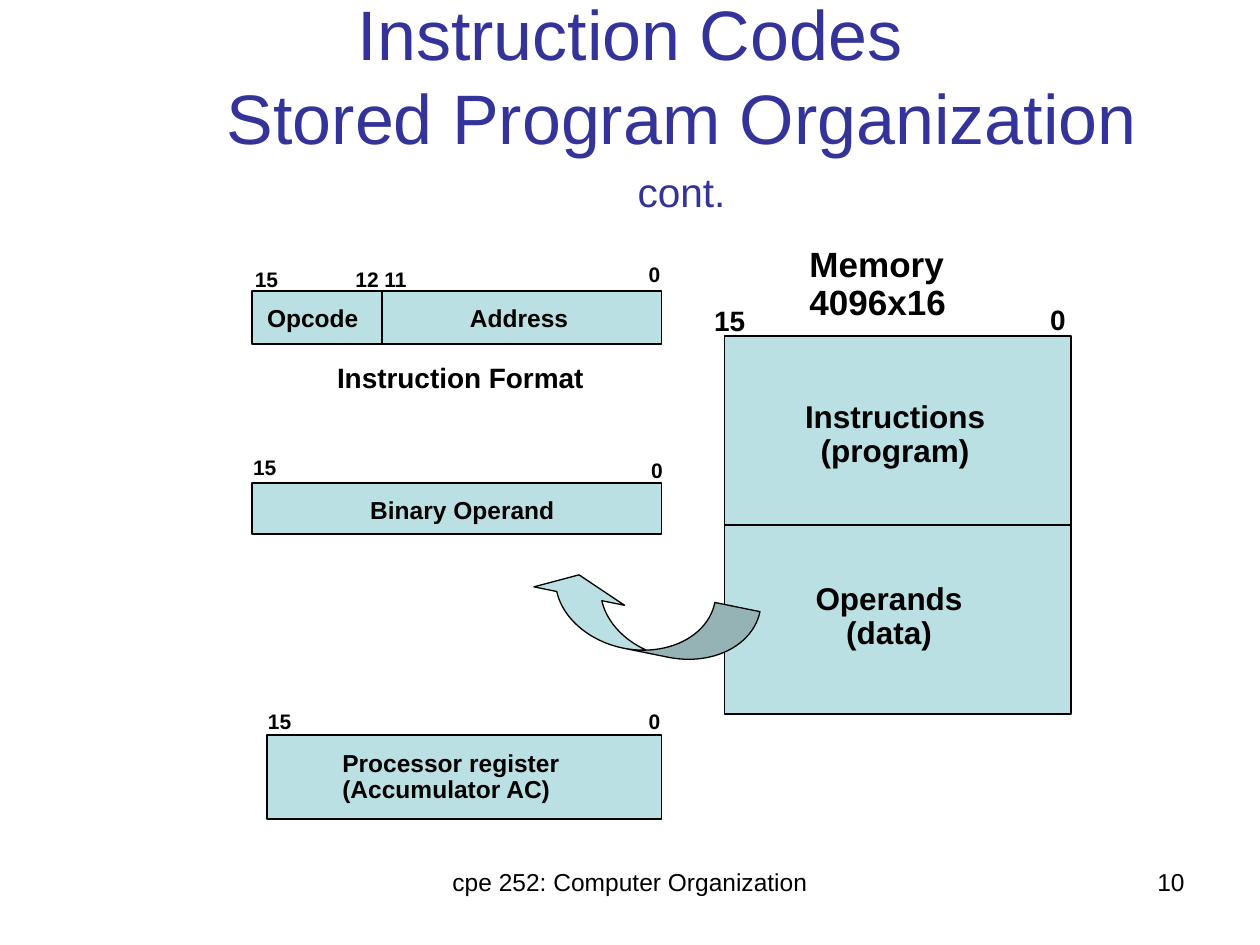
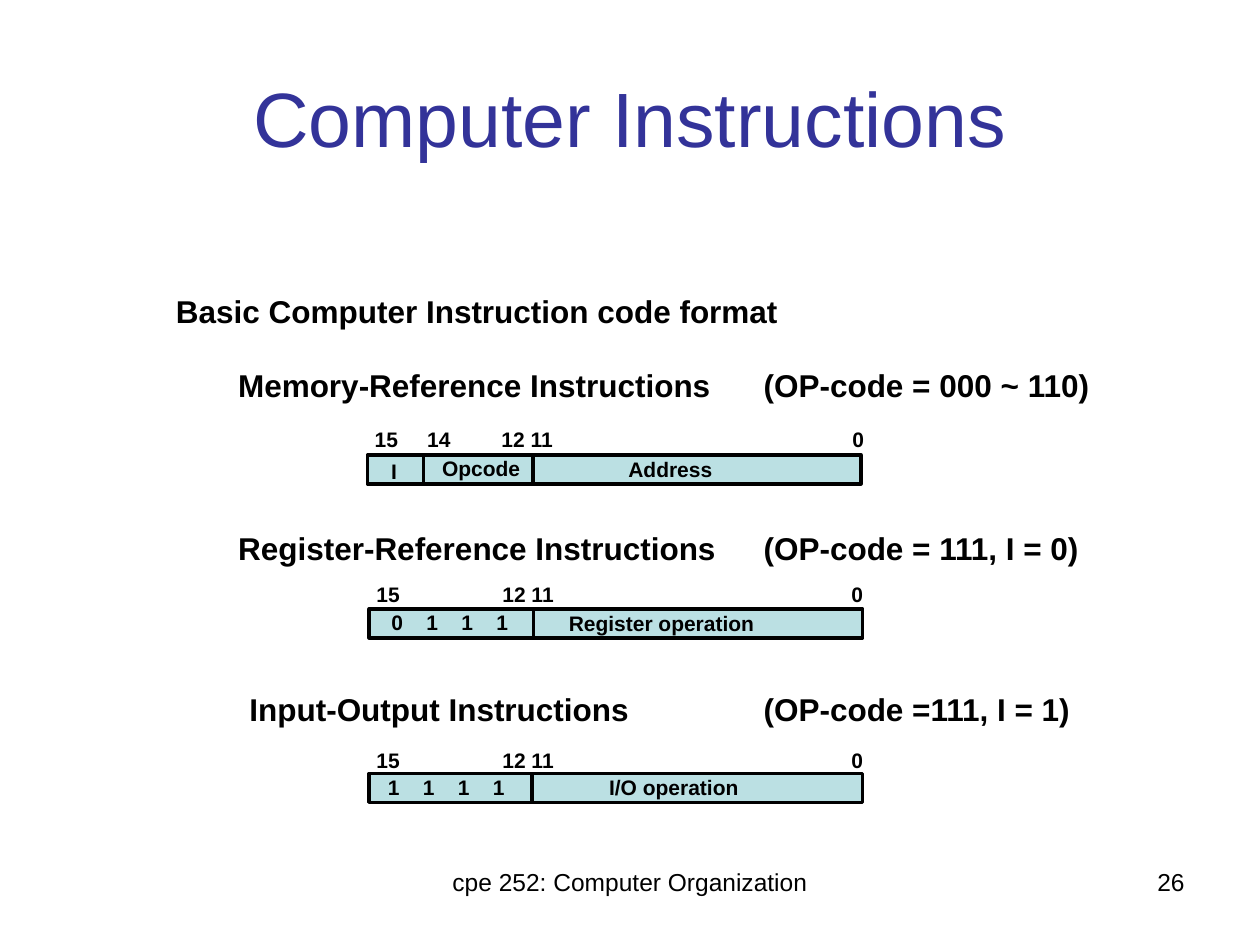
from typing import NamedTuple

from lxml.etree import SubElement
from pptx import Presentation
from pptx.dml.color import RGBColor
from pptx.enum.shapes import MSO_CONNECTOR, MSO_SHAPE
from pptx.enum.text import MSO_ANCHOR, PP_ALIGN
from pptx.oxml.ns import qn
from pptx.util import Pt

FONT = "Arial"
COLORS = {"title": "333399", "ink": "000000", "fill": "BBE0E3"}
COURSE = "cpe 252: Computer Organization"
CODE_X = 436.5  # left edge of the OP-code column
INSET = 7.2


class Label(NamedTuple):
    text: str
    x: float
    y: float
    w: float = 32
    size: float = 12
    align: PP_ALIGN = PP_ALIGN.LEFT
    bold: bool = True
    gap: float = 0.9


class Box(NamedTuple):
    x: float
    y: float
    w: float
    h: float
    line: float = 1
    cuts: tuple[float, ...] = ()


class Format(NamedTuple):
    """One instruction format: heading, bit numbers, word and field texts."""
    kind: str
    code: str
    x: float
    y: float
    bits_y: float
    box: Box
    marks: tuple[tuple[str, float], ...]
    fields: tuple[Label, ...]


def color(name: str) -> RGBColor:
    return RGBColor.from_string(COLORS[name])


def set_font(para, size: float, ink: str = "ink", bold: bool = False) -> None:
    font = para.font
    font.name, font.size, font.bold = FONT, Pt(size), bold
    font.color.rgb = color(ink)


def add_tab(para, pos: float) -> None:
    tabs = SubElement(para._p.get_or_add_pPr(), qn("a:tabLst"))
    SubElement(tabs, qn("a:tab"), pos=str(Pt(pos)), algn="l")


def add_label(slide, item: Label) -> None:
    height = item.size * 1.1 + 7.2
    shape = slide.shapes.add_textbox(Pt(item.x), Pt(item.y), Pt(item.w), Pt(height))
    frame = shape.text_frame
    frame.word_wrap = True
    para = frame.paragraphs[0]
    para.alignment, para.line_spacing = item.align, item.gap
    if "\t" in item.text:
        add_tab(para, CODE_X - item.x - INSET)
    para.add_run().text = item.text
    set_font(para, item.size, bold=item.bold)


def paint(shape, line: float) -> None:
    shape.shadow.inherit = False
    shape.fill.solid()
    shape.fill.fore_color.rgb = color("fill")
    shape.line.color.rgb = color("ink")
    shape.line.width = Pt(line)


def add_line(slide, x1: float, y1: float, x2: float, y2: float, width: float):
    line = slide.shapes.add_connector(
        MSO_CONNECTOR.STRAIGHT, Pt(x1), Pt(y1), Pt(x2), Pt(y2))
    line.line.color.rgb = color("ink")
    line.line.width = Pt(width)
    SubElement(line._element.spPr, qn("a:effectLst"))
    return line


def add_box(slide, box: Box):
    shape = slide.shapes.add_shape(
        MSO_SHAPE.RECTANGLE, Pt(box.x), Pt(box.y), Pt(box.w), Pt(box.h))
    paint(shape, box.line)
    for cut in box.cuts:
        add_line(slide, cut, box.y, cut, box.y + box.h, box.line)
    return shape


def add_title(slide, lines: list[str], size: float, tail: str = "") -> None:
    """Title with a hanging indent; the tail is raised."""
    shape = slide.shapes.add_textbox(Pt(36), Pt(21.6), Pt(648), Pt(90))
    frame = shape.text_frame
    frame.word_wrap = True
    frame.vertical_anchor = MSO_ANCHOR.MIDDLE
    para = frame.paragraphs[0]
    para.alignment = PP_ALIGN.CENTER
    props = para._p.get_or_add_pPr()
    props.set("marL", str(Pt(59)))
    props.set("indent", str(Pt(-59)))
    for i, text in enumerate(lines):
        if i:
            para.add_line_break()
        para.add_run().text = text
    if tail:
        run = para.add_run()
        run.text = tail
        run._r.get_or_add_rPr().set("baseline", "30000")
    set_font(para, size, "title")


def new_slide(deck, number: int):
    slide = deck.slides.add_slide(deck.slide_layouts[6])
    add_label(slide, Label(COURSE, 246, 492, 228, 14, PP_ALIGN.CENTER, False, 1))
    add_label(slide, Label(str(number), 516, 492, 168, 14, PP_ALIGN.RIGHT, False, 1))
    return slide


WORDS = (
    Box(152.5, 420, 225.5, 48),
    Box(144, 276, 234, 29),
    Box(144, 166.5, 234, 30, cuts=(218.5,)),
)
MEMORY = Box(414, 192, 198, 216)
NOTES = (
    Label("Opcode", 145.5, 171.5, 84, 14),
    Label("Address", 261.5, 171.5, 77, 14),
    Label("Instruction Format", 185.5, 204.5, 192, 16),
    Label("Binary Operand", 204.5, 281, 174, 14),
    Label("Processor register (Accumulator AC)", 188.5, 425.5, 145, 14),
    Label("Operands (data)", 456, 330, 104, 18, PP_ALIGN.CENTER),
    Label("Instructions (program)", 448.5, 226, 126, 18, PP_ALIGN.CENTER),
    Label("Memory 4096x16", 455.5, 138, 108, 20),
    Label("15", 401, 172, 38, 16),
    Label("0", 593, 171.5, 30, 16),
    Label("15", 138.5, 150.5),
    Label("12", 196, 150.5),
    Label("11", 212.5, 150.5),
    Label("0", 363.5, 147.5),
    Label("15", 137.5, 258),
    Label("0", 365, 259.5),
    Label("15", 146, 403),
    Label("0", 363.5, 403),
)


def draw_stored(deck) -> None:
    slide = new_slide(deck, 10)
    for word in WORDS:
        add_box(slide, word)
    memory = add_box(slide, MEMORY)
    middle = MEMORY.y + MEMORY.h / 2
    split = add_line(slide, MEMORY.x, middle, MEMORY.x + MEMORY.w, middle, 0.75)
    split.begin_connect(memory, 1)
    split.end_connect(memory, 3)
    add_title(slide, ["Instruction Codes", "Stored Program Organization "], 40, "cont.")

    arrow = slide.shapes.add_shape(
        MSO_SHAPE.CURVED_LEFT_ARROW, Pt(348), Pt(288), Pt(36), Pt(132))
    arrow.rotation = 101.5
    for i, value in enumerate((0.73, 1.47, 0.33)):
        arrow.adjustments[i] = value
    paint(arrow, 0.75)
    for note in NOTES:
        add_label(slide, note)


def digits(text: str, x: float, y: float) -> tuple[Label, ...]:
    """Single bits set 20 points apart."""
    return tuple(Label(bit, x + 20 * i, y, 24) for i, bit in enumerate(text))


WORD_BITS = (("15", 208), ("12 11", 280), ("0", 479.5))
FORMATS = (
    Format("Memory-Reference Instructions ", "(OP-code = 000 ~ 110)",
           129, 208, 242, Box(210, 260, 282, 16.5, 2, (242, 304.5)),
           (("15", 207), ("14", 237), ("12 11", 279.5), ("0", 480)),
           (Label("I", 216.5, 260, 20), Label("Opcode", 245.5, 258.5, 62),
            Label("Address", 352, 259, 66))),
    Format("Register-Reference Instructions ", "(OP-code = 111, I = 0)",
           129, 301, 330.5, Box(211, 348, 282, 16.5, 2, (305,)), WORD_BITS,
           digits("0111", 216.5, 346.5)
           + (Label("Register operation", 318, 347, 124),)),
    Format("Input-Output Instructions", "(OP-code =111, I = 1)",
           135.5, 393, 425, Box(211, 442, 282, 16.5, 2, (304,)), WORD_BITS,
           digits("1111", 214.5, 440.5)
           + (Label("I/O operation", 341, 440.5, 94),)),
)


def draw_formats(deck) -> None:
    slide = new_slide(deck, 26)
    add_title(slide, ["Computer Instructions"], 44)
    add_label(slide, Label("Basic Computer Instruction code format",
                           93.5, 163, 380, 18, gap=1.02))
    for item in FORMATS:
        add_label(slide, Label(f"{item.kind}\t{item.code}", item.x, item.y, 520, 18))
        add_box(slide, item.box)
        for text, x in item.marks:
            add_label(slide, Label(text, x, item.bits_y, 28 + 5 * len(text)))
        for field in item.fields:
            add_label(slide, field)


def main() -> None:
    deck = Presentation()
    deck.slide_width, deck.slide_height = Pt(720), Pt(540)
    draw_stored(deck)
    draw_formats(deck)
    deck.save("out.pptx")


if __name__ == "__main__":
    main()
